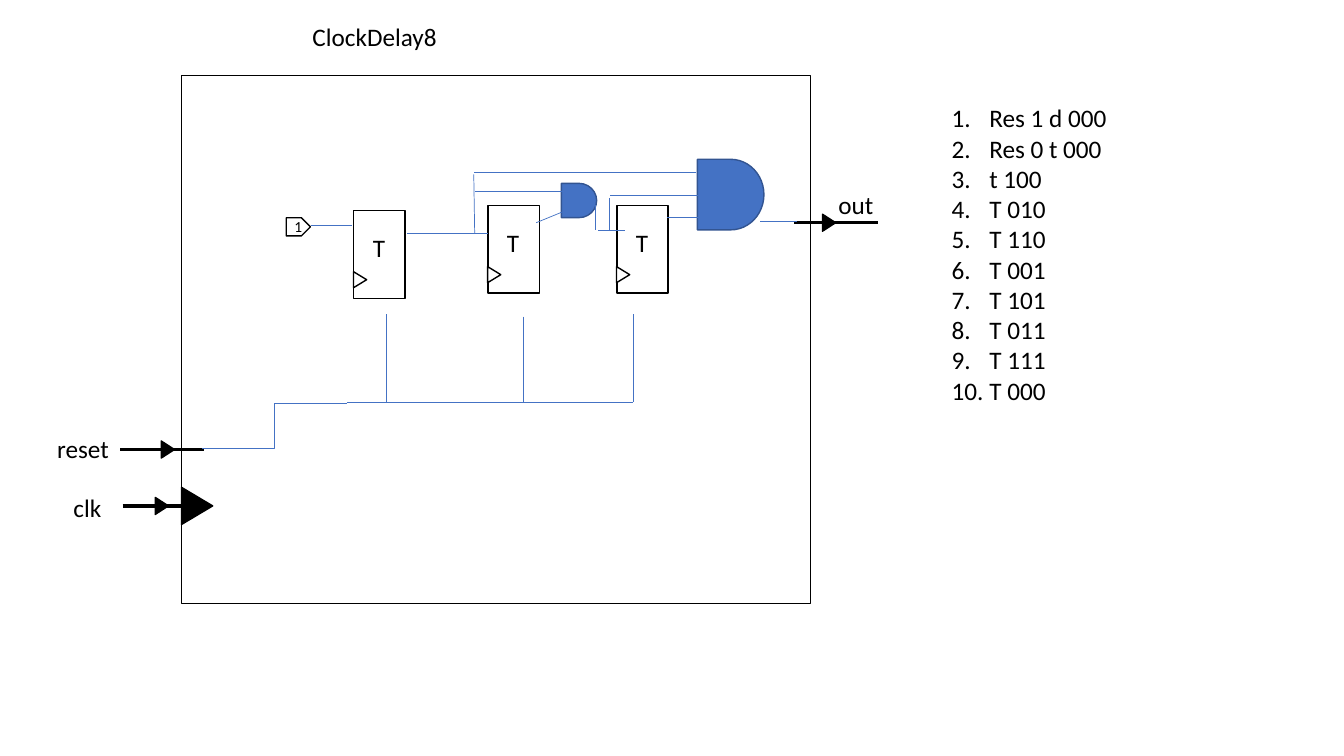
from dataclasses import dataclass
from typing import Any, NamedTuple

from lxml.etree import SubElement
from pptx import Presentation
from pptx.dml.color import RGBColor
from pptx.enum.shapes import MSO_CONNECTOR, MSO_SHAPE
from pptx.enum.text import MSO_ANCHOR, MSO_AUTO_SIZE, PP_ALIGN
from pptx.oxml.ns import qn
from pptx.util import Pt


@dataclass(frozen=True)
class Theme:
    font: str = "Calibri"
    black: RGBColor = RGBColor(0, 0, 0)
    white: RGBColor = RGBColor(255, 255, 255)
    blue: RGBColor = RGBColor(0x44, 0x72, 0xC4)
    dark_blue: RGBColor = RGBColor(0x32, 0x54, 0x91)
    text_size: float = 18
    small_size: float = 11
    outline: float = 1
    port_line: float = 2.25
    wire_line: float = 0.5


class Box(NamedTuple):
    left: float
    top: float
    width: float
    height: float


class Wire(NamedTuple):
    x1: float
    y1: float
    x2: float
    y2: float
    kind: Any = MSO_CONNECTOR.STRAIGHT


class Port(NamedTuple):
    name: str
    label_left: float
    label_top: float
    line_left: float
    line_y: float
    arrow_x: float


THEME = Theme()

FRAME = Box(129.6, 54, 449.3, 377.3)
TITLE_BOX = Box(216, 11.5, 212.4, 28.8)
STATES_BOX = Box(672.5, 69.8, 236.9, 225.4)
CONSTANT_BOX = Box(204.5, 155.5, 17.3, 13)
PORT_LENGTH = 60
LIST_INDENT = 27

PORTS = [
    Port("out", 591.8, 131.8, 567.3, 159.1, 592.2),
    Port("reset", 33.8, 306, 85.9, 321.1, 119.9),
    Port("clk", 45.4, 347.8, 87.7, 361.4, 115.6),
]
FLIP_FLOPS = [(252.7, 150.5), (348.5, 146.9), (440.6, 146.9)]
GATES = [Box(498.2, 113.8, 47.5, 50.4), Box(401, 131, 25.2, 24.5)]
RESET_WIRES = [
    Wire(144, 320.4, 247.7, 288, MSO_CONNECTOR.ELBOW),
    Wire(247.7, 287.3, 452.2, 287.3),
    Wire(275.8, 224.6, 275.8, 287.3),
    Wire(373.7, 226.1, 373.7, 287.3),
    Wire(452.2, 224.6, 452.2, 287.3),
]
LOGIC_WIRES = [
    Wire(222.5, 161.3, 251.3, 161.3),
    Wire(290.9, 167, 348.5, 167),
    Wire(338.4, 124.6, 339.1, 167),
    Wire(497.5, 123.1, 338.4, 123.1),
    Wire(409.7, 136.8, 339.1, 136.8),
    Wire(383, 159.1, 403.9, 150.5),
    Wire(425.5, 164.2, 425.5, 146.2),
    Wire(446.4, 164.9, 427, 164.9),
    Wire(435.6, 164.9, 435.6, 141.1),
    Wire(506.9, 139.7, 435.6, 139.7),
    Wire(517.7, 155.5, 476.6, 155.5),
    Wire(542.9, 158.4, 569.5, 158.4),
]
STATES = [
    "Res 1 d 000", "Res 0 t 000", "t 100", "T 010", "T 110",
    "T 001", "T 101", "T 011", "T 111", "T 000",
]


def points(box: Box) -> list[Pt]:
    return [Pt(value) for value in box]


def add_run(paragraph: Any, text: str, size: float = THEME.text_size) -> None:
    run = paragraph.add_run()
    run.text = text
    run.font.name = THEME.font
    run.font.size = Pt(size)
    run.font.color.rgb = THEME.black


def add_label(shapes: Any, box: Box, text: str) -> None:
    frame = shapes.add_textbox(*points(box)).text_frame
    frame.word_wrap = True
    add_run(frame.paragraphs[0], text)


def add_figure(shapes: Any, kind: MSO_SHAPE, box: Box, fill: RGBColor = THEME.white,
               line: RGBColor = THEME.black) -> Any:
    shape = shapes.add_shape(kind, *points(box))
    shape.shadow.inherit = False
    shape.fill.solid()
    shape.fill.fore_color.rgb = fill
    shape.line.color.rgb = line
    shape.line.width = Pt(THEME.outline)
    return shape


def add_pointer(shapes: Any, center_x: float, center_y: float, width: float,
                height: float, fill: RGBColor = THEME.black) -> None:
    box = Box(center_x - width / 2, center_y - height / 2, width, height)
    add_figure(shapes, MSO_SHAPE.ISOSCELES_TRIANGLE, box, fill).rotation = 90


def add_wire(shapes: Any, wire: Wire, color: RGBColor = THEME.blue,
             width: float = THEME.wire_line) -> None:
    connector = shapes.add_connector(wire.kind, *[Pt(value) for value in wire[:4]])
    connector.line.color.rgb = color
    connector.line.width = Pt(width)
    SubElement(connector.element.spPr, qn("a:effectLst"))


def add_port(shapes: Any, port: Port) -> None:
    add_label(shapes, Box(port.label_left, port.label_top, 53.3, 28.8), port.name)
    line = Wire(port.line_left, port.line_y, port.line_left + PORT_LENGTH, port.line_y)
    add_wire(shapes, line, THEME.black, THEME.port_line)
    add_pointer(shapes, port.arrow_x, port.line_y, 12.2, 9.4)


def add_flip_flop(shapes: Any, left: float, top: float) -> None:
    group = shapes.add_group_shape().shapes
    add_figure(group, MSO_SHAPE.RECTANGLE, Box(left, top, 36.7, 62.6))
    add_pointer(group, left + 4.5, top + 49.3, 11.5, 9.4, THEME.white)
    add_label(group, Box(left + 6.5, top + 12.2, 30.2, 28.8), "T")


def place(placeholder: Any, box: Box) -> Any:
    placeholder.left, placeholder.top, placeholder.width, placeholder.height = points(box)
    frame = placeholder.text_frame
    frame.auto_size = MSO_AUTO_SIZE.NONE
    frame.vertical_anchor = MSO_ANCHOR.TOP
    return frame


def fill_states(frame: Any) -> None:
    for index, state in enumerate(STATES):
        paragraph = frame.add_paragraph() if index else frame.paragraphs[0]
        paragraph.space_before = Pt(0)
        paragraph.line_spacing = 1.0
        properties = paragraph._p.get_or_add_pPr()
        properties.set("marL", str(Pt(LIST_INDENT)))
        properties.set("indent", str(-Pt(LIST_INDENT)))
        SubElement(properties, qn("a:buFont"), typeface="+mj-lt")
        SubElement(properties, qn("a:buAutoNum"), type="arabicPeriod")
        add_run(paragraph, state)


def add_constant(shapes: Any) -> None:
    frame = add_figure(shapes, MSO_SHAPE.PENTAGON, CONSTANT_BOX).text_frame
    frame.word_wrap = False
    frame.vertical_anchor = MSO_ANCHOR.MIDDLE
    frame.margin_left = Pt(3)
    frame.margin_right = frame.margin_top = frame.margin_bottom = Pt(0)
    paragraph = frame.paragraphs[0]
    paragraph.alignment = PP_ALIGN.CENTER
    add_run(paragraph, "1", THEME.small_size)


def main() -> None:
    presentation = Presentation()
    presentation.slide_width, presentation.slide_height = Pt(960), Pt(540)
    slide = presentation.slides.add_slide(presentation.slide_layouts[1])
    shapes = slide.shapes

    title = place(shapes.title, TITLE_BOX).paragraphs[0]
    title.alignment = PP_ALIGN.LEFT
    add_run(title, "ClockDelay8")
    fill_states(place(slide.placeholders[1], STATES_BOX))

    add_figure(shapes, MSO_SHAPE.RECTANGLE, FRAME)
    for port in PORTS:
        add_port(shapes, port)
    add_pointer(shapes, 140.8, 361.4, 26.6, 22.3)
    for left, top in FLIP_FLOPS:
        add_flip_flop(shapes, left, top)
    for gate in GATES:
        add_figure(shapes, MSO_SHAPE.FLOWCHART_DELAY, gate, THEME.blue, THEME.dark_blue)
    add_constant(shapes)
    for wire in RESET_WIRES + LOGIC_WIRES:
        add_wire(shapes, wire)

    presentation.save("out.pptx")


main()
